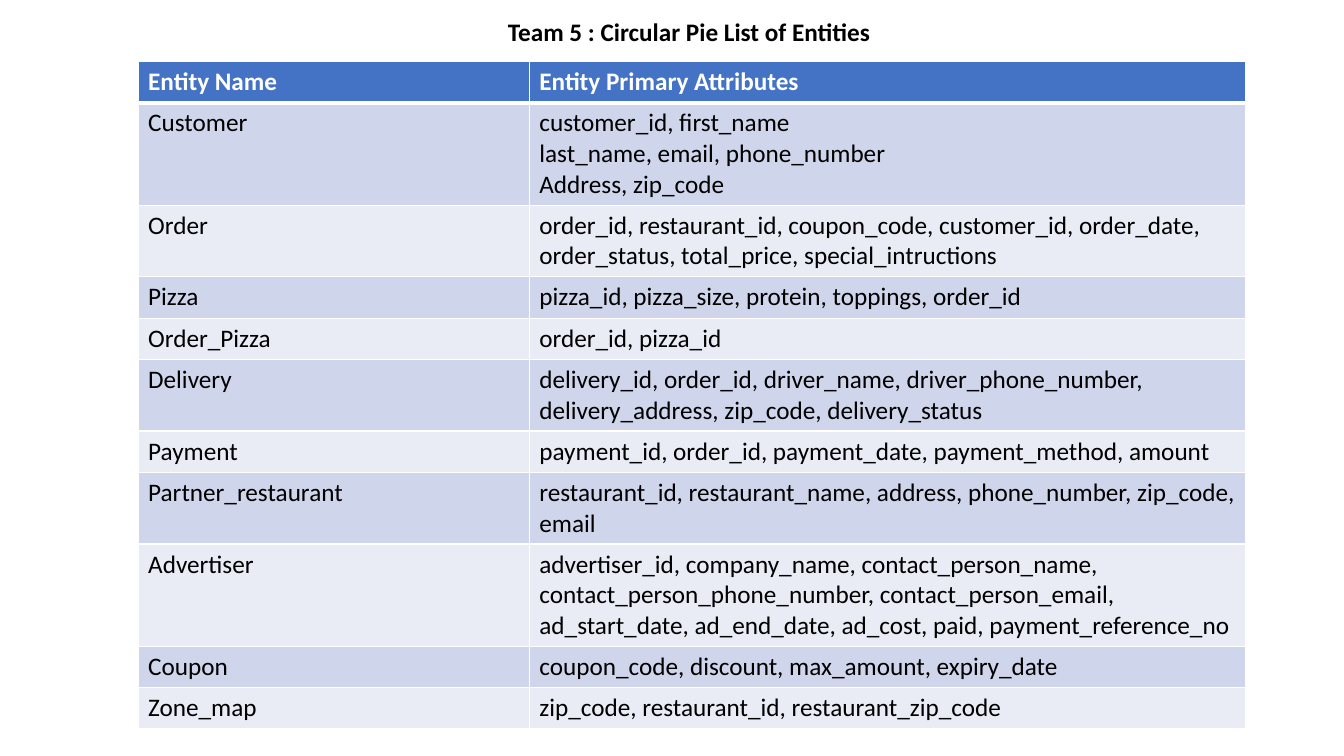
from lxml.etree import SubElement
from pptx import Presentation
from pptx.dml.color import RGBColor
from pptx.enum.text import MSO_ANCHOR, MSO_AUTO_SIZE, PP_ALIGN
from pptx.oxml.ns import qn
from pptx.util import Inches, Pt

WHITE = RGBColor(0xFF, 0xFF, 0xFF)
BLACK = RGBColor(0x00, 0x00, 0x00)
HEADER_BLUE = RGBColor(0x44, 0x72, 0xC4)
BANDS = (RGBColor(0xE9, 0xEB, 0xF5), RGBColor(0xCF, 0xD5, 0xEA))

FONT = "Calibri"
TEXT_SIZE = Pt(18)
TABLE_LEFT, TABLE_TOP = 1.37, 0.61
COLUMN_WIDTHS = (3.88, 7.1)
ROW_HEIGHT = 0.41
THIN, THICK = Pt(1), Pt(3)

HEADINGS = ("Entity Name", ["Entity Primary Attributes"])
ENTITIES = [
    ("Customer", ["customer_id, first_name",
                  "last_name, email, phone_number",
                  "Address, zip_code"]),
    ("Order", ["order_id, restaurant_id, coupon_code, customer_id, order_date, "
               "order_status, total_price, special_intructions"]),
    ("Pizza", ["pizza_id, pizza_size, protein, toppings, order_id"]),
    ("Order_Pizza", ["order_id, pizza_id"]),
    ("Delivery", ["delivery_id, order_id, driver_name, driver_phone_number, "
                  "delivery_address, zip_code, delivery_status"]),
    ("Payment", ["payment_id, order_id, payment_date, payment_method, amount"]),
    ("Partner_restaurant", ["restaurant_id, restaurant_name, address, "
                            "phone_number, zip_code, email"]),
    ("Advertiser", ["advertiser_id, company_name, contact_person_name, "
                    "contact_person_phone_number, contact_person_email, "
                    "ad_start_date, ad_end_date, ad_cost, paid, "
                    "payment_reference_no"]),
    ("Coupon", ["coupon_code, discount, max_amount, expiry_date"]),
    ("Zone_map", ["zip_code, restaurant_id, restaurant_zip_code"]),
]


def write_lines(frame, lines, color, bold, alignment=PP_ALIGN.LEFT):
    """Write each line as its own paragraph."""
    for index, line in enumerate(lines):
        paragraph = frame.add_paragraph() if index else frame.paragraphs[0]
        paragraph.alignment = alignment
        run = paragraph.add_run()
        run.text = line
        run.font.name = FONT
        run.font.size = TEXT_SIZE
        run.font.bold = bold
        run.font.color.rgb = color


def add_cell_borders(cell, top, bottom):
    properties = cell._tc.get_or_add_tcPr()
    for side, width in (("L", THIN), ("R", THIN), ("T", top), ("B", bottom)):
        border = SubElement(properties, qn(f"a:ln{side}"), w=str(width))
        fill = SubElement(border, qn("a:solidFill"))
        SubElement(fill, qn("a:srgbClr"), val=str(WHITE))


def set_title(slide, text):
    title = slide.shapes.title
    title.left, title.top = Inches(4.86), Inches(0.11)
    title.width, title.height = Inches(3.95), Inches(0.37)
    frame = title.text_frame
    frame.auto_size = MSO_AUTO_SIZE.NONE
    frame.word_wrap = False
    frame.vertical_anchor = MSO_ANCHOR.TOP
    write_lines(frame, [text], BLACK, True, PP_ALIGN.CENTER)


def add_entity_table(slide):
    rows = [HEADINGS] + ENTITIES
    table = slide.shapes.add_table(
        len(rows), len(COLUMN_WIDTHS), Inches(TABLE_LEFT), Inches(TABLE_TOP),
        Inches(sum(COLUMN_WIDTHS)), Inches(ROW_HEIGHT * len(rows))).table
    for column, width in zip(table.columns, COLUMN_WIDTHS):
        column.width = Inches(width)
    for row_index, (entity, attributes) in enumerate(rows):
        is_header = row_index == 0
        table.rows[row_index].height = Inches(ROW_HEIGHT)
        for column_index, lines in enumerate(([entity], attributes)):
            cell = table.cell(row_index, column_index)
            add_cell_borders(cell, THICK if row_index == 1 else THIN,
                             THICK if is_header else THIN)
            cell.fill.solid()
            cell.fill.fore_color.rgb = (
                HEADER_BLUE if is_header else BANDS[row_index % 2])
            write_lines(cell.text_frame, lines,
                        WHITE if is_header else BLACK, is_header)


def main():
    presentation = Presentation()
    presentation.slide_width = Inches(13.33)
    presentation.slide_height = Inches(7.5)
    title_only = presentation.slide_layouts[5]
    slide = presentation.slides.add_slide(title_only)
    set_title(slide, "Team 5 : Circular Pie List of Entities")
    add_entity_table(slide)
    presentation.save("out.pptx")


if __name__ == "__main__":
    main()
